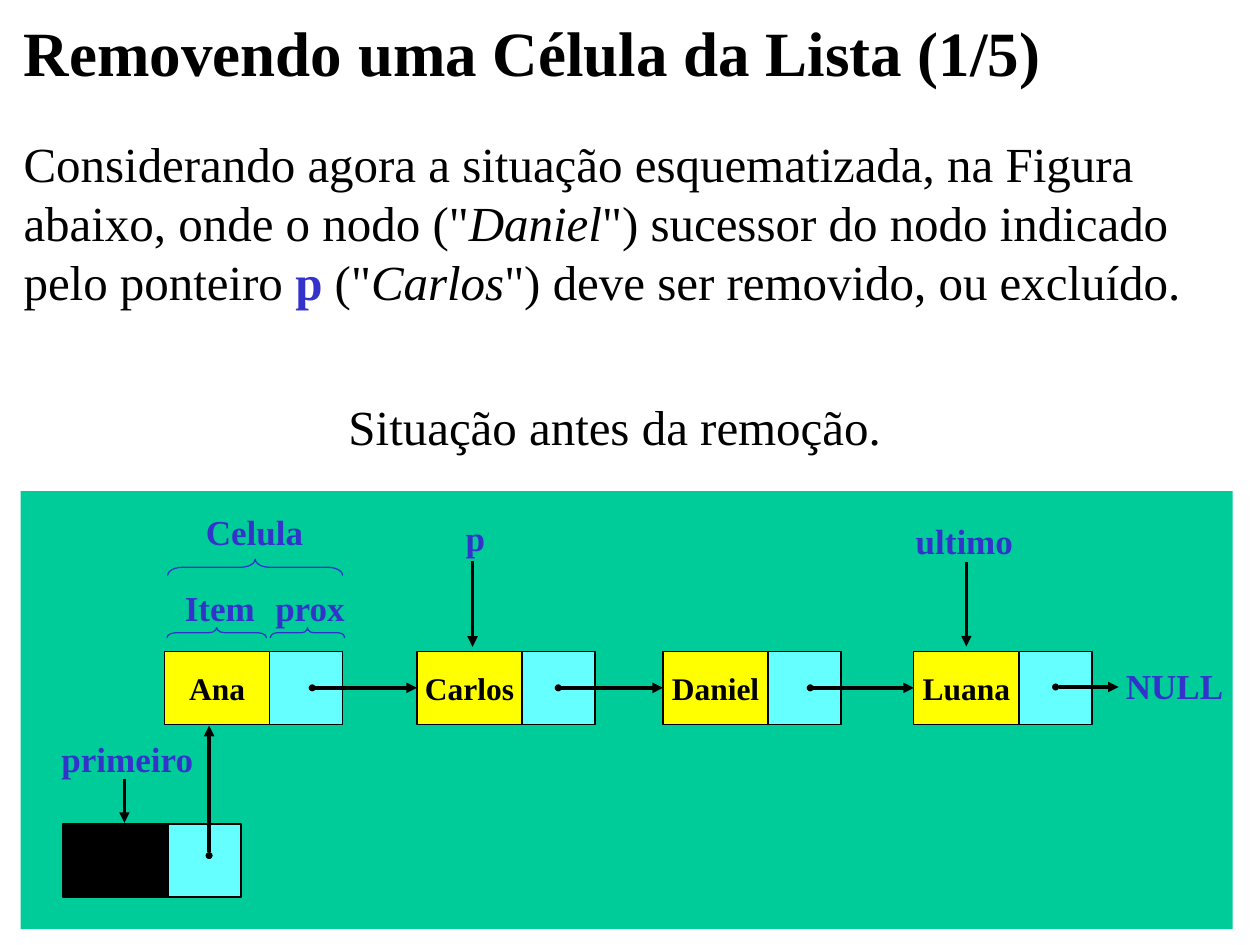
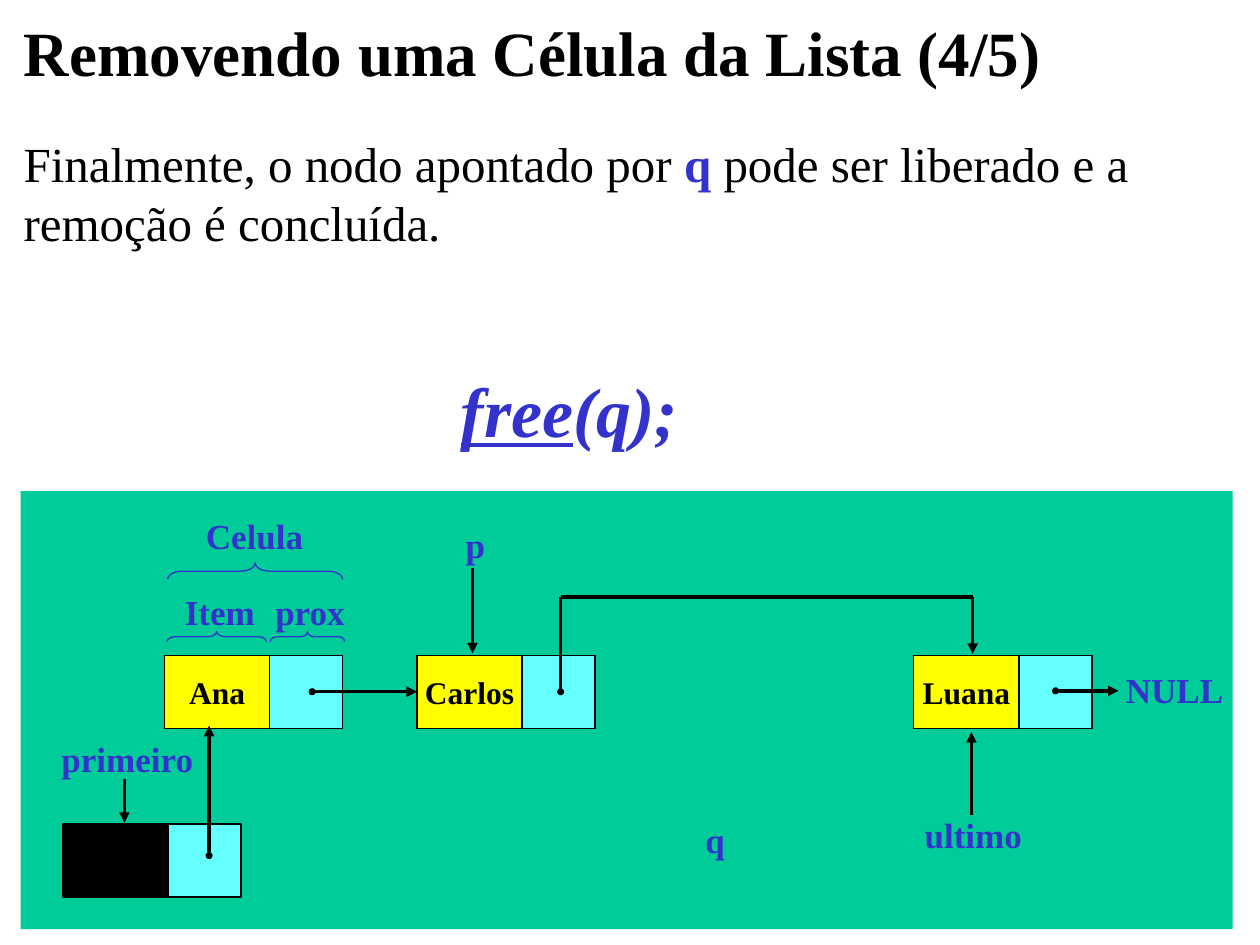
from dataclasses import dataclass
from itertools import pairwise

from lxml.etree import SubElement
from pptx import Presentation
from pptx.dml.color import RGBColor as Color
from pptx.enum.shapes import MSO_CONNECTOR as Connector, MSO_SHAPE as Shape
from pptx.enum.text import MSO_ANCHOR as Anchor, MSO_AUTO_SIZE as AutoSize, PP_ALIGN as Align
from pptx.oxml.ns import qn
from pptx.util import Pt


@dataclass(frozen=True)
class Theme:
    """Colours, type sizes and line widths of the deck."""
    font: str = "Times New Roman"
    ink: Color = Color(0, 0, 0)
    accent: Color = Color(0x33, 0x33, 0xCC)
    panel: Color = Color(0x00, 0xCC, 0x99)
    item: Color = Color(0xFF, 0xFF, 0x00)
    link: Color = Color(0x66, 0xFF, 0xFF)
    title_size: int = 36
    body_size: int = 28
    code_size: int = 40
    label_size: int = 20
    item_size: int = 18
    outline: float = 0.75
    arrow: float = 2


THEME = Theme()
ITEM_WIDTH, LINK_WIDTH, CELL_HEIGHT = 60, 41.75, 41.75
ANA, CARLOS, DANIEL, LUANA = 94.1, 238.3, 378.9, 522.2
HEAD_LEFT, HEAD_TOP = 36, 470.9
MARK_SIZES = {"oval": "sm", "triangle": "med"}


def style_font(font, size, color, bold=False):
    """Give a font the deck's typeface with a size, colour and weight."""
    font.name, font.size, font.bold = THEME.font, Pt(size), bold
    font.color.rgb = color


def add_text(page, left, top, width, height, lines, size, color=THEME.ink,
             bold=False, align=Align.LEFT):
    """Add unwrapped text; each line is a list of (text, style) spans."""
    box = page.shapes.add_textbox(Pt(left), Pt(top), Pt(width), Pt(height))
    frame = box.text_frame
    frame.word_wrap, frame.auto_size = False, AutoSize.SHAPE_TO_FIT_TEXT
    for index, line in enumerate(lines):
        para = frame.add_paragraph() if index else frame.paragraphs[0]
        para.alignment = align
        style_font(para.font, size, color, bold)
        for text, style in line:
            span = para.add_run()
            span.text = text
            if "italic" in style:
                span.font.italic = True
            if "underline" in style:
                span.font.underline = True
            if "key" in style:
                span.font.bold = True
                span.font.color.rgb = THEME.accent


def add_label(page, text, left, top, width, align=Align.LEFT):
    """Add a bold accent label to the diagram."""
    add_text(page, left, top, width, 31.7, [[(text, "")]], THEME.label_size,
             THEME.accent, True, align)


def add_block(page, left, top, width, height, fill, outlined=True):
    """Add a flat rectangle."""
    block = page.shapes.add_shape(Shape.RECTANGLE, Pt(left), Pt(top), Pt(width), Pt(height))
    block.shadow.inherit = False
    block.fill.solid()
    block.fill.fore_color.rgb = fill
    if outlined:
        block.line.color.rgb, block.line.width = THEME.ink, Pt(THEME.outline)
    else:
        block.line.fill.background()
    return block


def add_cell(page, left, top, name="", fill=THEME.item):
    """Add a list cell and return its item block."""
    add_block(page, left + ITEM_WIDTH, top, LINK_WIDTH, CELL_HEIGHT, THEME.link)
    item = add_block(page, left, top, ITEM_WIDTH, CELL_HEIGHT, fill)
    if name:
        frame = item.text_frame
        frame.word_wrap, frame.vertical_anchor = False, Anchor.MIDDLE
        para = frame.paragraphs[0]
        para.text, para.alignment = name, Align.CENTER
        style_font(para.font, THEME.item_size, THEME.ink, True)
    return item


def add_line(page, start, end, head=None, tail="triangle", target=None):
    """Add a line with optional end marks, joined to a target's left side."""
    line = page.shapes.add_connector(Connector.STRAIGHT, *map(Pt, (*start, *end)))
    line.line.color.rgb, line.line.width = THEME.ink, Pt(THEME.arrow)
    outline = line.line._get_or_add_ln()
    for tag, mark in (("a:headEnd", head), ("a:tailEnd", tail)):
        if mark:
            size = MARK_SIZES[mark]
            SubElement(outline, qn(tag), type=mark, w=size, len=size)
    SubElement(line._element.spPr, qn("a:effectLst"))
    if target is not None:
        line.end_connect(target, 1)


def add_pointer(page, left, top, target):
    """Add a dotted arrow from a link field to the next cell's item."""
    middle = top + CELL_HEIGHT / 2
    add_line(page, (left, middle), (target.left.pt, middle), "oval", target=target)


def add_brace(page, center, middle, length, depth):
    """Add an upward brace that spans a length around its centre."""
    brace = page.shapes.add_shape(Shape.LEFT_BRACE, Pt(center - depth / 2),
                                  Pt(middle - length / 2), Pt(depth), Pt(length))
    brace.rotation = 90
    brace.adjustments[0] = length / 12 / depth
    brace.shadow.inherit = False
    brace.fill.background()
    brace.line.color.rgb, brace.line.width = THEME.accent, Pt(THEME.outline)


def add_page(deck, step):
    """Add a titled page with the diagram panel."""
    page = deck.slides.add_slide(deck.slide_layouts[5])
    title = page.shapes.title
    title.left, title.top, title.width, title.height = map(Pt, (6.5, 12.7, 605, 41.8))
    frame = title.text_frame
    frame.word_wrap, frame.auto_size = False, AutoSize.NONE
    frame.vertical_anchor = Anchor.TOP
    para = frame.paragraphs[0]
    para.text = f"Removendo uma Célula da Lista ({step}/5)"
    para.alignment, para.line_spacing, para.space_before = Align.LEFT, 0.8, Pt(0)
    style_font(para.font, THEME.title_size, THEME.ink, True)
    add_block(page, 11.8, 280.6, 692.6, 250.4, THEME.panel, outlined=False)
    return page


def add_list(page, top, p_top):
    """Add the cells, labels and pointers of every step; return the cells."""
    cells = {name: add_cell(page, left, top, name)
             for name, left in (("Ana", ANA), ("Carlos", CARLOS), ("Luana", LUANA))}
    add_pointer(page, 178.4, top, cells["Carlos"])
    middle = top + CELL_HEIGHT / 2
    add_line(page, (603.2, middle - 0.5), (639.2, middle - 0.5), "oval")
    add_label(page, "NULL", 636.3, top + 4, 75)
    add_label(page, "p", 259, p_top, 30)
    add_line(page, (270, p_top + 29), (270, p_top + 78))

    add_label(page, "Item", 90, top - 40.6, 71.3, Align.CENTER)
    add_label(page, "Celula", 105.5, top - 84, 80, Align.CENTER)
    add_label(page, "prox", 150.2, top - 40.6, 60)
    for center, rise, length, depth in ((145.8, 48, 100, 9.4), (123.8, 10.6, 56.9, 5.8),
                                        (175.7, 10.6, 42.5, 5.8)):
        add_brace(page, center, top - rise, length, depth)

    add_cell(page, HEAD_LEFT, HEAD_TOP, fill=THEME.ink)
    add_line(page, (119.5, 488.9), (119.5, 414.7), "oval")
    add_label(page, "primeiro", 28, 418, 95)
    add_line(page, (71.1, 445), (71.1, 470.2))
    return cells


def add_before_removal(deck):
    """Add the page that shows the list before the removal."""
    page, top = add_page(deck, 1), 372.2
    add_text(page, 6.4, 73, 690, 108, [
        [("Considerando agora a situação esquematizada, na Figura", "")],
        [('abaixo, onde o nodo ("', ""), ("Daniel", "italic"),
         ('") sucessor do nodo indicado', "")],
        [("pelo ponteiro ", ""), ("p", "key"), (' ("', ""), ("Carlos", "italic"),
         ('") deve ser removido, ou excluído.', "")],
    ], THEME.body_size)
    add_text(page, 176.3, 223.2, 350, 41, [[("Situação antes da remoção.", "")]],
             THEME.body_size, align=Align.CENTER)
    cells = add_list(page, top, 291.6)
    daniel = add_cell(page, DANIEL, top, "Daniel")
    add_pointer(page, 319, top, daniel)
    add_pointer(page, 463, top, cells["Luana"])
    add_label(page, "ultimo", 516.2, 293.4, 80)
    add_line(page, (552.2, 321.1), (552.2, 369.4))


def add_release(deck):
    """Add the page that frees the removed node."""
    page = add_page(deck, 4)
    add_text(page, 6.4, 73, 660, 74.9, [
        [("Finalmente, o nodo apontado por ", ""), ("q", "key"),
         (" pode ser liberado e a", "")],
        [("remoção é concluída.", "")],
    ], THEME.body_size)
    add_text(page, 256.3, 206.6, 170, 55.4,
             [[("free", "italic underline"), ("(q);", "italic")]],
             THEME.code_size, THEME.accent, True)
    add_list(page, 374.4, 295.4)
    detour = [(320.4, 395.3), (320.4, 341.2), (555.8, 341.2), (555.8, 373.7)]
    marks = [("oval", None), (None, None), (None, "triangle")]
    for (start, end), (head, tail) in zip(pairwise(detour), marks):
        add_line(page, start, end, head, tail)
    add_label(page, "q", 396, 464, 30)
    add_label(page, "ultimo", 521.3, 461.1, 80)
    add_line(page, (555.1, 465.8), (555.1, 418.3))


def main():
    """Build and save the deck."""
    deck = Presentation()
    deck.slide_width, deck.slide_height = Pt(720), Pt(540)
    add_before_removal(deck)
    add_release(deck)
    deck.save("out.pptx")


if __name__ == "__main__":
    main()
